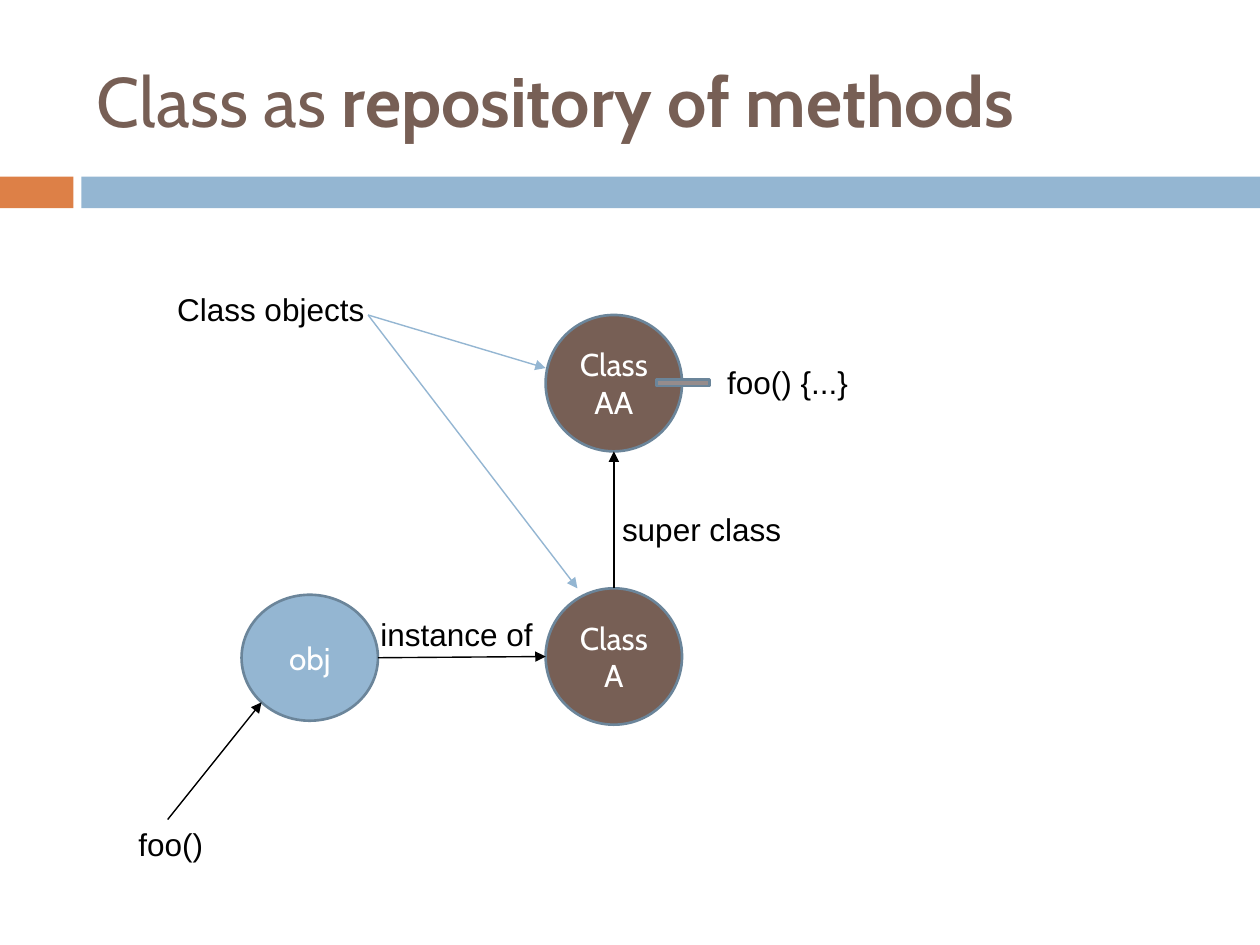
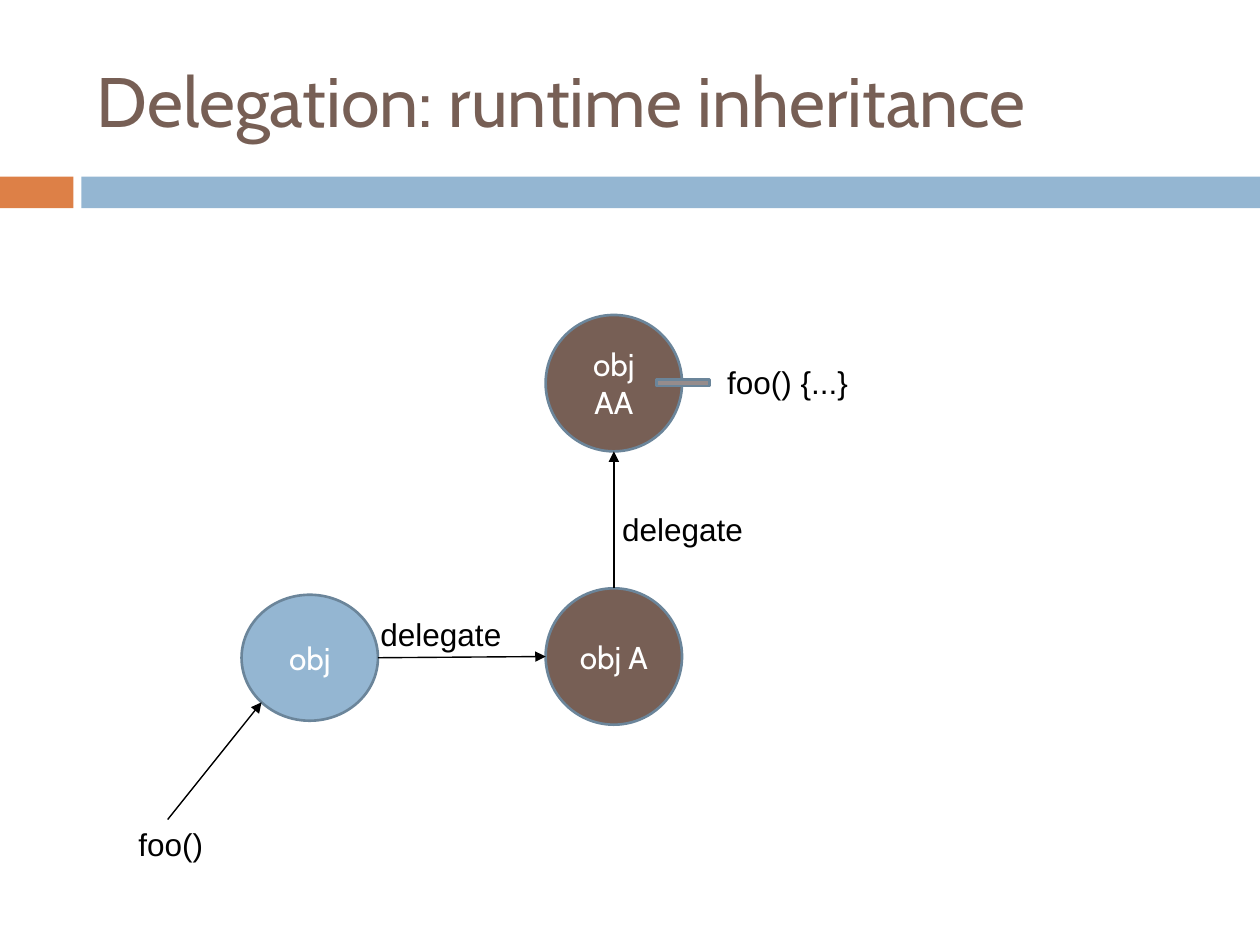
"""Two slides on method lookup: through classes and through delegation."""
import lxml.etree
import pptx
import pptx.dml.color
import pptx.enum.shapes
import pptx.enum.text
import pptx.oxml.ns
import pptx.util

Cm = pptx.util.Cm
Pt = pptx.util.Pt
RGBColor = pptx.dml.color.RGBColor
SHAPE = pptx.enum.shapes.MSO_SHAPE
qn = pptx.oxml.ns.qn

ORANGE = RGBColor(0xDD, 0x80, 0x47)
BLUE = RGBColor(0x94, 0xB6, 0xD2)
BROWN = RGBColor(0x77, 0x5F, 0x55)
OUTLINE = RGBColor(0x6B, 0x85, 0x9A)
GREY = RGBColor(0x96, 0x8C, 0x8C)
WHITE = RGBColor(0xFF, 0xFF, 0xFF)
BLACK = RGBColor(0x00, 0x00, 0x00)

TITLE_FONT = {"name": "Cabin", "size": Pt(40)}
NODE_FONT = {"name": "Cabin", "size": Pt(18)}
LABEL_FONT = {"name": "Arial", "size": Pt(18)}
TITLE_FRAME = {
    "word_wrap": True,
    "auto_size": pptx.enum.text.MSO_AUTO_SIZE.NONE,
    "vertical_anchor": pptx.enum.text.MSO_ANCHOR.MIDDLE,
}
NODE_FRAME = {"word_wrap": True, "vertical_anchor": pptx.enum.text.MSO_ANCHOR.MIDDLE}
LABEL_FRAME = {"word_wrap": False, "auto_size": pptx.enum.text.MSO_AUTO_SIZE.SHAPE_TO_FIT_TEXT}

SLIDE_WIDTH, SLIDE_HEIGHT = 25.4, 19.05
TITLE_BOX = (1.7, 0.64, 22.66, 2.74)
BAND_BOX = (0, 3.56, SLIDE_WIDTH, 0.64)
DIAGRAM_BOX = (2.54, 5.72, 14.81, 11.81)
NODE = 2.75
CLASS_LEFT, UPPER_TOP, LOWER_TOP = 8.46, 0.63, 6.14
OBJ_LEFT, OBJ_TOP, OBJ_HEIGHT = 2.33, 6.27, 2.54
LABEL_HEIGHT = 1.02
DIAGONAL = 0.5 ** 0.5


def apply_format(target, values):
    """Set each named attribute of the target."""
    for name, value in values.items():
        setattr(target, name, value)


def place(box, left, top, width, height):
    """Turn a place inside a box into slide lengths."""
    return Cm(box[0] + left), Cm(box[1] + top), Cm(width), Cm(height)


def write(paragraph, text, font, color, bold=False):
    """Add a formatted run to a paragraph."""
    run = paragraph.add_run()
    run.text = text
    apply_format(run.font, {**font, "bold": bold})
    run.font.color.rgb = color


def add_block(slide, box, kind, area, fill, outline=None):
    """Add a flat filled shape, with an outline where one is given."""
    block = slide.shapes.add_shape(kind, *place(box, *area))
    block.shadow.inherit = False
    block.fill.solid()
    block.fill.fore_color.rgb = fill
    if outline is None:
        block.line.fill.background()
    else:
        block.line.color.rgb = outline
        block.line.width = Pt(1.5)
    return block


def add_node(slide, box, text, area, fill):
    """Add a round node with its name in the middle."""
    node = add_block(slide, box, SHAPE.OVAL, area, fill, OUTLINE)
    apply_format(node.text_frame, NODE_FRAME)
    name = node.text_frame.paragraphs[0]
    name.alignment = pptx.enum.text.PP_ALIGN.CENTER
    write(name, text, NODE_FONT, WHITE)


def add_label(slide, box, text, left, top, width):
    """Add a one-line label."""
    label = slide.shapes.add_textbox(*place(box, left, top, width, LABEL_HEIGHT))
    apply_format(label.text_frame, LABEL_FRAME)
    write(label.text_frame.paragraphs[0], text, LABEL_FONT, BLACK)


def add_arrow(slide, box, start, end, color=BLACK):
    """Add a thin arrow between two points of a box."""
    ends = [Cm(box[axis] + point[axis]) for point in (start, end) for axis in (0, 1)]
    arrow = slide.shapes.add_connector(pptx.enum.shapes.MSO_CONNECTOR.STRAIGHT, *ends)
    arrow.line.color.rgb = color
    arrow.line.width = Pt(0.79)
    lxml.etree.SubElement(arrow.line._get_or_add_ln(), qn("a:tailEnd"), type="triangle")
    lxml.etree.SubElement(arrow._element.spPr, qn("a:effectLst"))


def add_title(slide, box, parts):
    """Place the title and write its plain and bold parts."""
    title = slide.shapes.title
    left, top, width, height = place(box, 0, 0, *box[2:])
    apply_format(title, {"left": left, "top": top, "width": width, "height": height})
    apply_format(title.text_frame, TITLE_FRAME)
    heading = title.text_frame.paragraphs[0]
    heading.alignment = pptx.enum.text.PP_ALIGN.LEFT
    for text, bold in parts:
        write(heading, text, TITLE_FONT, BROWN, bold)


def add_bands(slide, box):
    """Draw the short orange and the long blue band."""
    short, gap = 1.48, 0.16
    width, height = box[2:]
    long_left = short + gap
    add_block(slide, box, SHAPE.RECTANGLE, (0, 0, short, height), ORANGE)
    add_block(slide, box, SHAPE.RECTANGLE, (long_left, 0, width - long_left, height), BLUE)


def add_lookup(slide, box, upper, lower, instance_link, parent_link):
    """Draw the lookup of foo() from obj up to the node that holds it."""
    add_node(slide, box, "obj", (OBJ_LEFT, OBJ_TOP, NODE, OBJ_HEIGHT), BLUE)
    for text, top in ((lower, LOWER_TOP), (upper, UPPER_TOP)):
        add_node(slide, box, text, (CLASS_LEFT, top, NODE, NODE), BROWN)

    class_middle = CLASS_LEFT + NODE / 2
    call_end = (OBJ_LEFT + NODE / 2 * (1 - DIAGONAL),
                OBJ_TOP + OBJ_HEIGHT / 2 * (1 + DIAGONAL))
    arrows = (
        ((OBJ_LEFT + NODE, OBJ_TOP + OBJ_HEIGHT / 2), (CLASS_LEFT, LOWER_TOP + NODE / 2)),
        ((class_middle, LOWER_TOP), (class_middle, UPPER_TOP + NODE)),
        ((0.84, 10.8), call_end),
    )
    for start, end in arrows:
        add_arrow(slide, box, start, end)

    add_block(slide, box, SHAPE.RECTANGLE, (10.69, 1.93, 1.07, 0.13), GREY, OUTLINE)
    labels = (
        (instance_link[0], 4.88, 6.55, instance_link[1]),
        (parent_link[0], 9.75, 4.44, parent_link[1]),
        ("foo()", 0, 10.79, 1.9),
        ("foo() {...}", 11.87, 1.47, 3.05),
    )
    for label in labels:
        add_label(slide, box, *label)


def add_class_pointers(slide, box):
    """Point from the words Class objects to both classes."""
    for end in ((CLASS_LEFT, 1.7), (9.1, LOWER_TOP)):
        add_arrow(slide, box, (4.88, 0.63), end, BLUE)
    add_label(slide, box, "Class objects", 0.78, 0, 4.4)


def add_lookup_slide(deck, title_parts, **lookup):
    """Add a slide with title, bands and lookup diagram."""
    slide = deck.slides.add_slide(deck.slide_layouts[5])
    add_bands(slide, BAND_BOX)
    add_title(slide, TITLE_BOX, title_parts)
    add_lookup(slide, DIAGRAM_BOX, **lookup)
    return slide


def main():
    """Build and save both slides."""
    deck = pptx.Presentation()
    apply_format(deck, {"slide_width": Cm(SLIDE_WIDTH), "slide_height": Cm(SLIDE_HEIGHT)})
    class_slide = add_lookup_slide(
        deck, [("Class as ", False), ("repository of methods", True)],
        upper="Class AA", lower="Class A",
        instance_link=("instance of", 3.7), parent_link=("super class", 3.8))
    add_class_pointers(class_slide, DIAGRAM_BOX)
    add_lookup_slide(
        deck, [("Delegation: runtime inheritance", False)],
        upper="obj AA", lower="obj A",
        instance_link=("delegate", 3.05), parent_link=("delegate", 3.05))
    deck.save("out.pptx")


if __name__ == "__main__":
    main()
